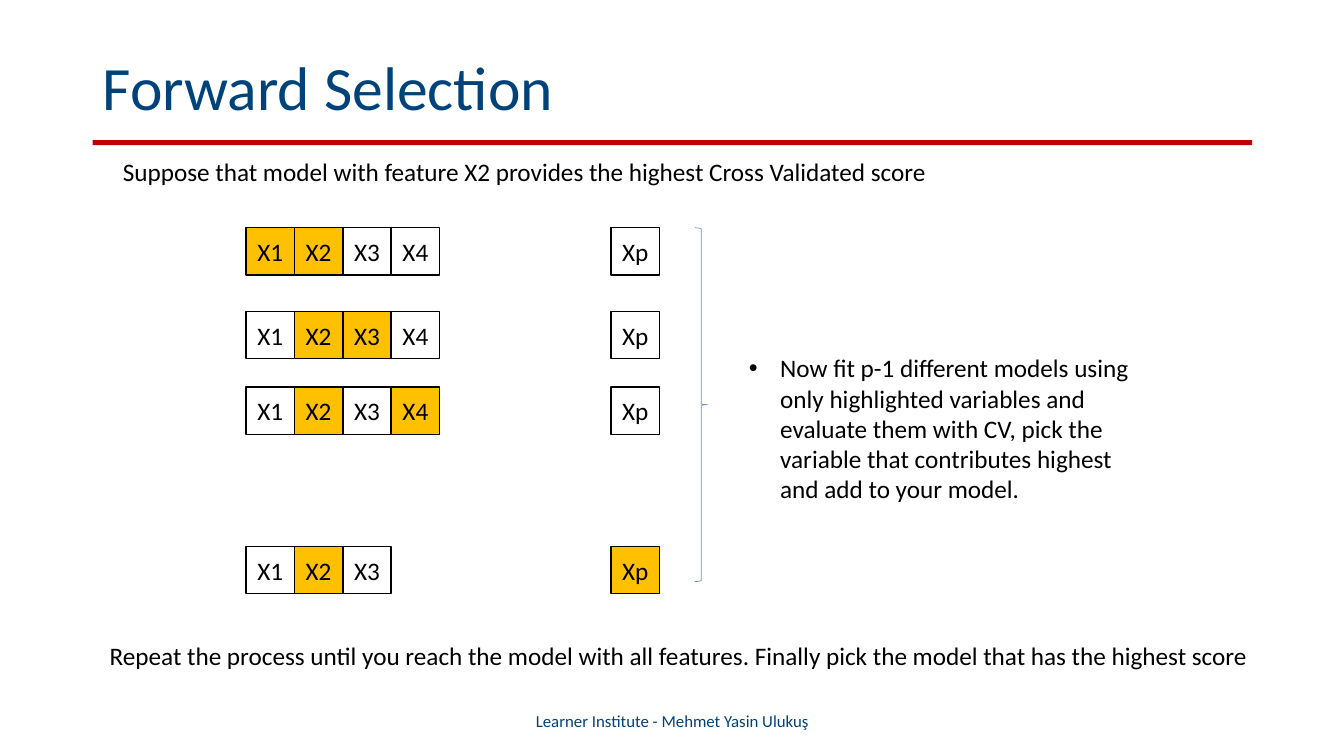
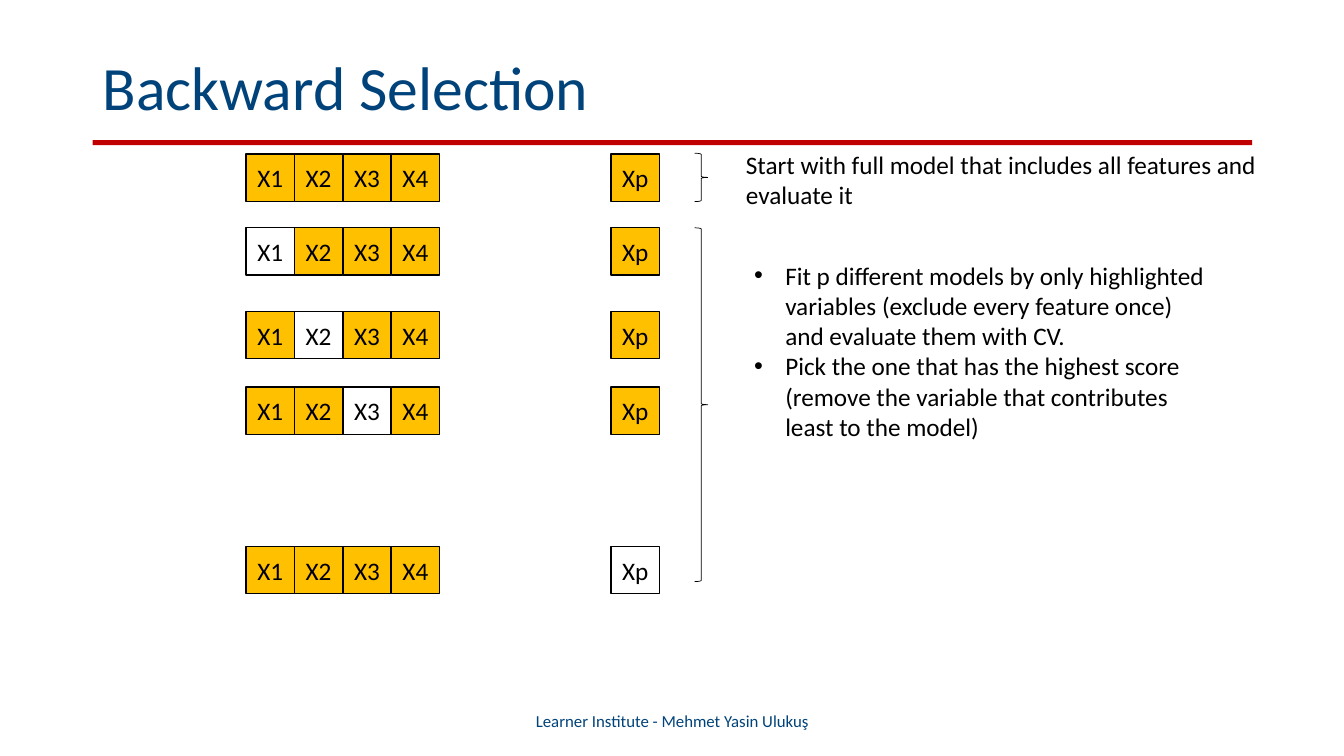
from lxml.etree import SubElement
from pptx import Presentation
from pptx.dml.color import RGBColor
from pptx.enum.shapes import MSO_SHAPE
from pptx.enum.text import MSO_ANCHOR, PP_ALIGN
from pptx.oxml.ns import qn
from pptx.util import Inches, Pt

COLORS = {
    "navy": "00437A",
    "red": "C00000",
    "amber": "FFC000",
    "blue": "5B9BD5",
    "black": "000000",
}
FONT = "Calibri"
FOOTER = "Learner Institute - Mehmet Yasin Ulukuş"
FEATURES = ("X1", "X2", "X3", "X4", "Xp")
CELL_WIDTH, CELL_HEIGHT = 0.48, 0.47
GRID_LEFT, LAST_LEFT = 2.44, 6.06
FULL_TOP = 1.53
ROW_TOPS = (2.26, 3.09, 3.84, 5.42)
BRACE_TOP, BRACE_HEIGHT = 2.26, 3.51


class Deck:
    def __init__(self):
        self.deck = Presentation()
        self.deck.slide_width = Inches(13.33)
        self.deck.slide_height = Inches(7.5)
        self.page = None

    def add_page(self, title):
        self.page = self.deck.slides.add_slide(self.deck.slide_layouts[6])
        self.shape(MSO_SHAPE.RECTANGLE, 0.92, 1.39, 11.5, 0.05, fill="red")
        heading = self.text([title], 0.92, 0.4, 11.5, 0.99, 44, "navy", MSO_ANCHOR.MIDDLE)
        heading.text_frame.paragraphs[0].line_spacing = 0.9
        self.text([FOOTER], 4.42, 6.95, 4.5, 0.4, 12, "navy", MSO_ANCHOR.MIDDLE, PP_ALIGN.CENTER)

    def style(self, box, size, color, align):
        for para in box.text_frame.paragraphs:
            para.alignment = align
            for span in para.runs:
                span.font.name = FONT
                span.font.size = Pt(size)
                span.font.color.rgb = RGBColor.from_string(COLORS[color])

    def shape(self, kind, left, top, width, height, fill=None, line=None, weight=1):
        box = self.page.shapes.add_shape(
            kind, Inches(left), Inches(top), Inches(width), Inches(height))
        box.shadow.inherit = False
        if fill:
            box.fill.solid()
            box.fill.fore_color.rgb = RGBColor.from_string(COLORS[fill])
        else:
            box.fill.background()
        if line:
            box.line.color.rgb = RGBColor.from_string(COLORS[line])
            box.line.width = Pt(weight)
        else:
            box.line.fill.background()
        return box

    def text(self, lines, left, top, width, height, size=18, color="black",
             anchor=MSO_ANCHOR.TOP, align=PP_ALIGN.LEFT):
        box = self.page.shapes.add_textbox(
            Inches(left), Inches(top), Inches(width), Inches(height))
        frame = box.text_frame
        frame.word_wrap = True
        frame.vertical_anchor = anchor
        frame.text = "\n".join(lines)
        self.style(box, size, color, align)
        return box

    def bullets(self, lines, left, top, width, height):
        box = self.text(lines, left, top, width, height)
        for para in box.text_frame.paragraphs:
            properties = para._p.get_or_add_pPr()
            properties.set("marL", str(Inches(0.31)))
            properties.set("indent", str(-Inches(0.31)))
            SubElement(properties, qn("a:buFont")).set("typeface", "Arial")
            SubElement(properties, qn("a:buChar")).set("char", "•")

    def cell(self, label, left, top, chosen):
        box = self.shape(MSO_SHAPE.RECTANGLE, left, top, CELL_WIDTH, CELL_HEIGHT,
                         "amber" if chosen else None, "black")
        frame = box.text_frame
        frame.margin_left = frame.margin_right = 0
        frame.vertical_anchor = MSO_ANCHOR.MIDDLE
        frame.text = label
        self.style(box, 18, "black", PP_ALIGN.CENTER)

    def feature_row(self, top, chosen, hidden=()):
        for index, label in enumerate(FEATURES):
            left = LAST_LEFT if label == "Xp" else GRID_LEFT + index * CELL_WIDTH
            if label not in hidden:
                self.cell(label, left, top, label in chosen)

    def brace(self, top, height, color):
        self.shape(MSO_SHAPE.RIGHT_BRACE, 6.89, top, 0.13, height, line=color, weight=0.5)


def forward_page(deck):
    deck.add_page("Forward Selection")
    deck.text(["Suppose that model with feature X2 provides the highest Cross Validated score"],
              1.12, 1.5, 8.27, 0.71)
    for top, added in zip(ROW_TOPS, ("X1", "X3", "X4", "Xp")):
        deck.feature_row(top, {"X2", added}, {"X4"} if added == "Xp" else ())
    deck.brace(BRACE_TOP, BRACE_HEIGHT, "blue")
    deck.bullets(["Now fit p-1 different models using only highlighted variables and evaluate "
                  "them with CV, pick the variable that contributes highest and add to your model."],
                 7.33, 3.45, 4.04, 1.62)
    deck.text(["Repeat the process until you reach the model with all features. "
               "Finally pick the model that has the highest score"], 0.99, 6.3, 11.63, 0.71)


def backward_page(deck):
    deck.add_page("Backward Selection")
    deck.feature_row(FULL_TOP, FEATURES)
    deck.brace(1.52, 0.48, "black")
    deck.text(["Start with full model that includes all features and evaluate it"],
              7.3, 1.43, 5.43, 0.71)
    for top, removed in zip(ROW_TOPS, ("X1", "X2", "X3", "Xp")):
        deck.feature_row(top, set(FEATURES) - {removed})
    deck.brace(BRACE_TOP, BRACE_HEIGHT, "black")
    deck.bullets(["Fit p different models by only highlighted variables "
                  "(exclude every feature once) and evaluate them with CV.",
                  "Pick the one that has the highest score "
                  "(remove the variable that contributes least to the model)"],
                 7.38, 2.53, 4.78, 1.92)


def main():
    deck = Deck()
    forward_page(deck)
    backward_page(deck)
    deck.deck.save("out.pptx")


if __name__ == "__main__":
    main()
